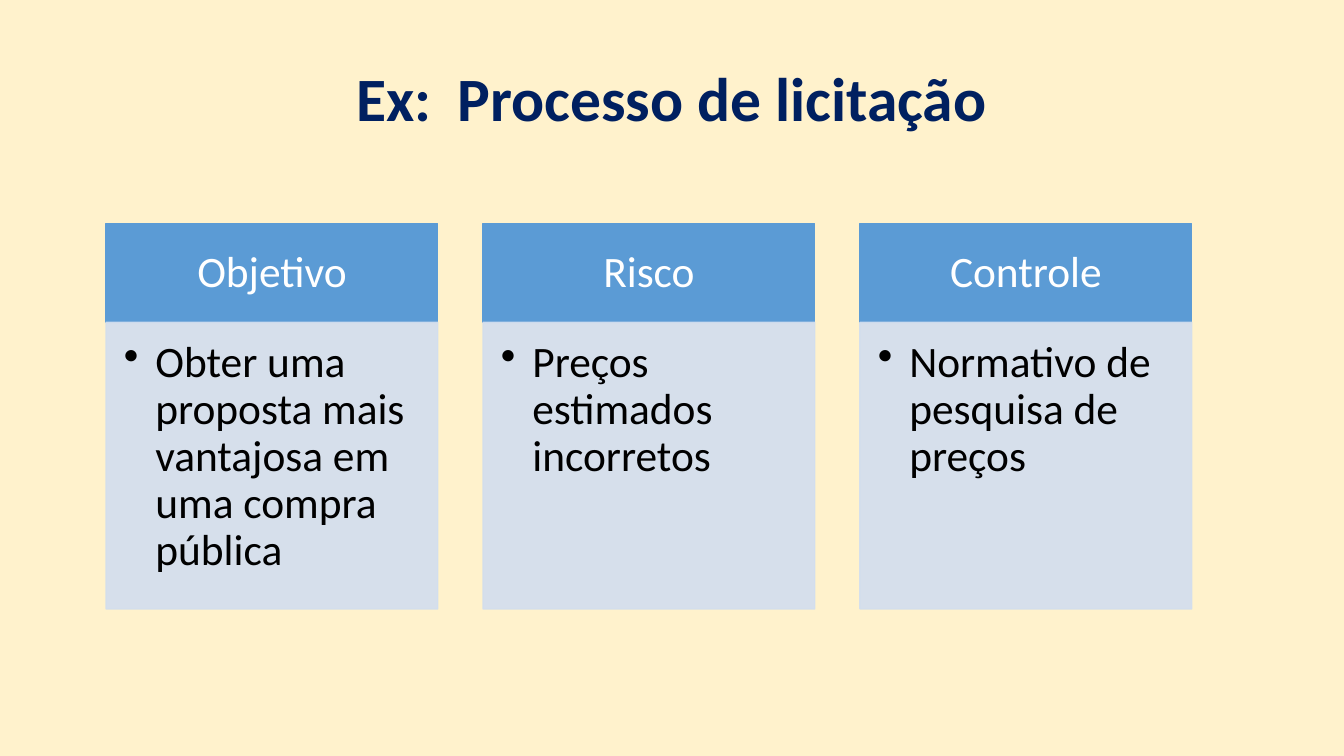
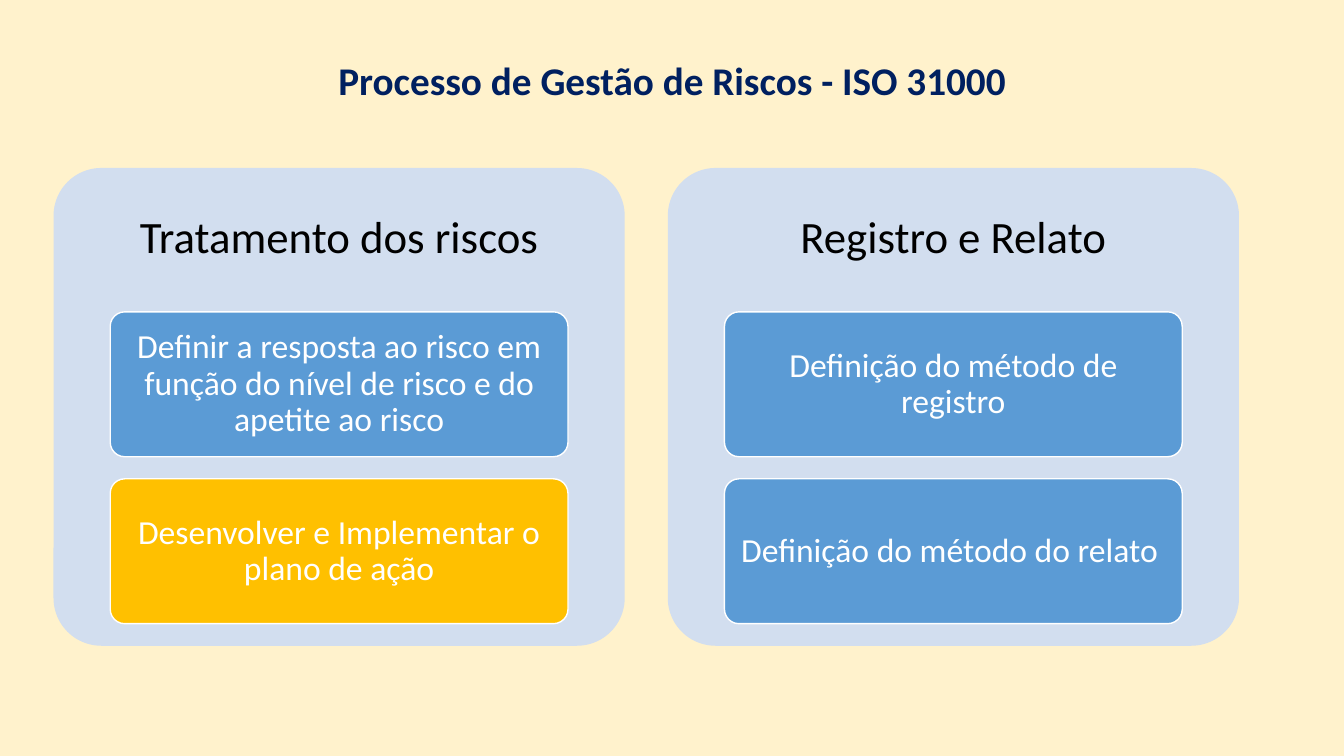
from lxml.etree import SubElement
from pptx import Presentation
from pptx.dml.color import RGBColor
from pptx.enum.shapes import MSO_SHAPE
from pptx.enum.text import MSO_ANCHOR, PP_ALIGN
from pptx.oxml.ns import qn
from pptx.util import Emu, Pt

FONT = "Calibri"
COLORS = {
    "background": "FFF2CC",
    "title": "002060",
    "blue": "5B9BD5",
    "pale": "D2DEEF",
    "amber": "FFC000",
    "white": "FFFFFF",
    "black": "000000",
}
COLUMNS = [
    ("Objetivo", "Obter uma proposta mais vantajosa em uma compra pública"),
    ("Risco", "Preços estimados incorretos"),
    ("Controle", "Normativo de pesquisa de preços"),
]
PANELS = [
    ("Tratamento dos riscos", [
        ("Definir a resposta ao risco em função do nível de risco e do apetite ao risco", "blue"),
        ("Desenvolver e Implementar o plano de ação", "amber"),
    ]),
    ("Registro e Relato", [
        ("Definição do método de registro", "blue"),
        ("Definição do método do relato ", "blue"),
    ]),
]


def px(n):
    return Emu(n * 9525)


def rgb(name):
    return RGBColor.from_string(COLORS[name])


def write(sp, text, size, color, insets, bold=False, anchor=MSO_ANCHOR.MIDDLE, bullet=False):
    tf = sp.text_frame
    tf.word_wrap = True
    tf.vertical_anchor = anchor
    tf.margin_left, tf.margin_top, tf.margin_right, tf.margin_bottom = map(px, insets)
    tf.text = text
    p = tf.paragraphs[0]
    if bullet:
        add_bullet(p, 30)
    p.alignment = PP_ALIGN.LEFT if bullet else PP_ALIGN.CENTER
    p.line_spacing = 0.9
    font = p.runs[0].font
    font.name, font.size, font.bold = FONT, Pt(size), bold
    font.color.rgb = rgb(color)


def add_bullet(p, indent):
    pPr = p._p.get_or_add_pPr()
    pPr.set("marL", str(px(indent)))
    pPr.set("indent", str(px(-indent)))
    SubElement(pPr, qn("a:buChar")).set("char", "•")


def add_box(s, kind, x, y, w, h, fill, line=None):
    sp = s.shapes.add_shape(kind, px(x), px(y), px(w), px(h))
    sp.shadow.inherit = False
    sp.fill.solid()
    sp.fill.fore_color.rgb = rgb(fill)
    if line:
        sp.line.color.rgb = rgb(line)
        sp.line.width = Pt(1)
    else:
        sp.line.fill.background()
    return sp


def add_rounded(s, x, y, w, h, fill, line=None):
    sp = add_box(s, MSO_SHAPE.ROUNDED_RECTANGLE, x, y, w, h, fill, line)
    sp.adjustments[0] = 0.1
    return sp


def set_alpha(sp, percent):
    for color in sp._element.spPr.iter(qn("a:srgbClr")):
        SubElement(color, qn("a:alpha")).set("val", str(percent * 1000))


def add_slide(prs, title, size, height):
    s = prs.slides.add_slide(prs.slide_layouts[6])
    s.background.fill.solid()
    s.background.fill.fore_color.rgb = rgb("background")
    sp = s.shapes.add_textbox(px(88), px(38), px(1104), px(height))
    write(sp, title, size, "title", (10, 5, 10, 5), bold=True)
    return s


def add_column(s, x, heading, body):
    y, w, head_h, body_h = 213, 316, 94, 273
    sp = add_box(s, MSO_SHAPE.RECTANGLE, x, y, w, head_h, "blue", "blue")
    write(sp, heading, 31, "white", (23, 13, 23, 13))
    sp = add_box(s, MSO_SHAPE.RECTANGLE, x, y + head_h, w, body_h, "pale", "pale")
    set_alpha(sp, 90)
    write(sp, body, 31, "black", (17, 17, 23, 26), anchor=MSO_ANCHOR.TOP, bullet=True)


def add_panel(s, x, w, heading, cards):
    y, h, head_h = 160, 455, 136
    sp = add_rounded(s, x, y, w, h, "pale")
    write(sp, heading, 32, "black", (0, 0, 0, h - head_h))
    inset, card_h, gap = 54, 138, 21
    for i, (text, fill) in enumerate(cards):
        top = y + head_h + 1 + i * (card_h + gap)
        sp = add_rounded(s, x + inset, top, w - 2 * inset, card_h, fill, "white")
        write(sp, text, 24, "white", (7, 5, 7, 5))


def main():
    prs = Presentation()
    prs.slide_width, prs.slide_height = px(1280), px(720)

    s = add_slide(prs, "Ex:\tProcesso de licitação", 44, 118)
    for i, (heading, body) in enumerate(COLUMNS):
        add_column(s, 101 + i * 359, heading, body)

    s = add_slide(prs, "Processo de Gestão de Riscos - ISO 31000", 28, 81)
    for i, (heading, cards) in enumerate(PANELS):
        add_panel(s, 51 + i * 585, 544, heading, cards)

    prs.save("out.pptx")


if __name__ == "__main__":
    main()
